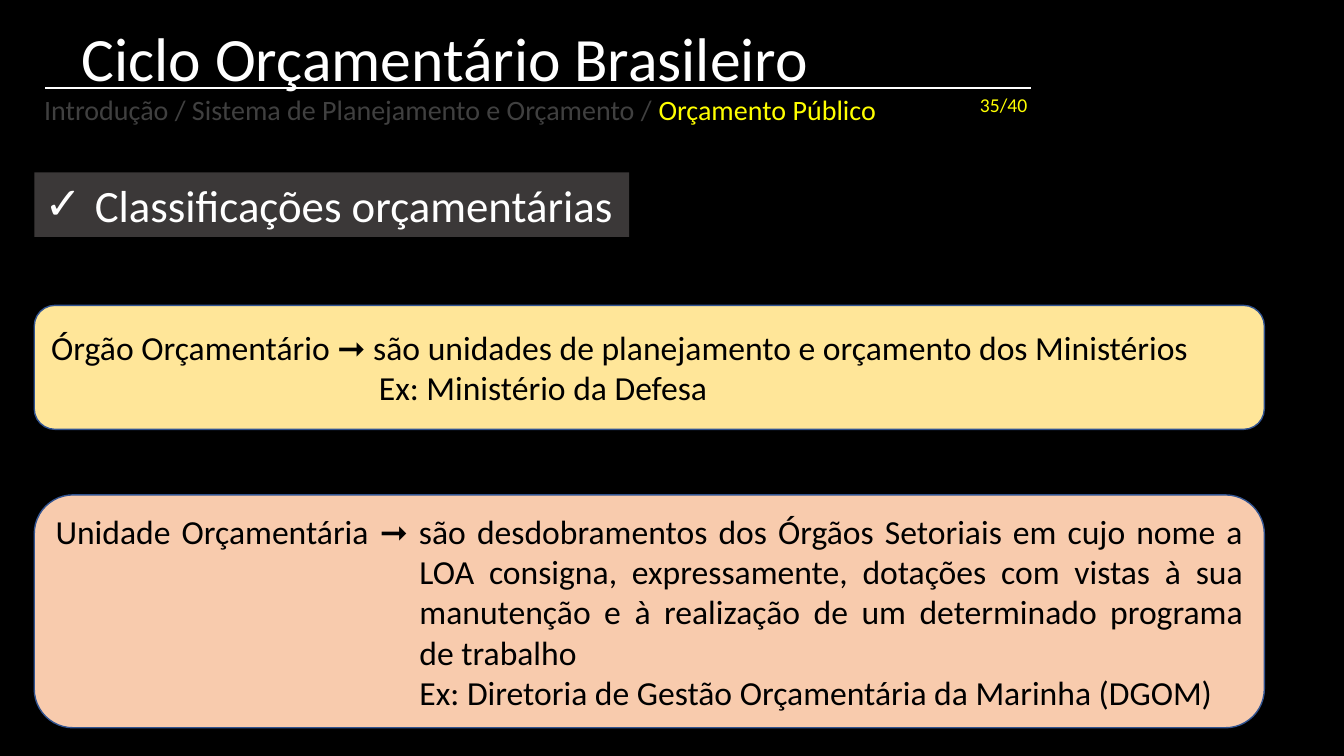
from lxml import etree
from pptx import Presentation
from pptx.dml.color import RGBColor
from pptx.enum.shapes import MSO_CONNECTOR, MSO_SHAPE
from pptx.enum.text import MSO_ANCHOR, MSO_AUTO_SIZE, PP_ALIGN
from pptx.oxml.ns import qn
from pptx.util import Inches, Pt

LINE = MSO_CONNECTOR.STRAIGHT
ROUND = MSO_SHAPE.ROUNDED_RECTANGLE
TOP, MIDDLE = MSO_ANCHOR.TOP, MSO_ANCHOR.MIDDLE
LEFT, JUSTIFY = PP_ALIGN.LEFT, PP_ALIGN.JUSTIFY
FIXED = MSO_AUTO_SIZE.NONE

COLORS = {
    "black": "000000", "white": "FFFFFF", "yellow": "FFFF00",
    "dim": "404040", "gray": "3B3838", "edge": "325491",
    "cream": "FFE699", "peach": "F8CBAD",
}


def color(name):
    return RGBColor.from_string(COLORS[name])


def paint(fill, name):
    fill.solid()
    fill.fore_color.rgb = color(name)


def place(shape, box):
    for key, value in zip(("left", "top", "width", "height"), box):
        setattr(shape, key, Inches(value))


def setup(frame, **values):
    for key, value in {"auto_size": FIXED, "word_wrap": True, **values}.items():
        setattr(frame, key, value)


def indent(para, margin, first, bullet=None):
    props = para._p.get_or_add_pPr()
    props.set("marL", str(Inches(margin)))
    props.set("indent", str(Inches(first)))
    if bullet:
        etree.SubElement(props, qn("a:buChar")).set("char", bullet)


def write(para, parts, size, align=LEFT):
    for key, value in {"alignment": align, "space_before": Pt(0)}.items():
        setattr(para, key, value)
    for text, name in parts:
        run = para.add_run()
        run.text = text
        for key, value in {"name": "Calibri", "size": Pt(size)}.items():
            setattr(run.font, key, value)
        run.font.color.rgb = color(name)


def add_title(slide, text):
    title = slide.shapes.title
    place(title, (0.71, 0.14, 9.15, 0.84))
    setup(title.text_frame, vertical_anchor=MIDDLE)
    write(title.text_frame.paragraphs[0], [(text, "white")], 44)


def add_topic(slide, text):
    topic = slide.placeholders[1]
    place(topic, (0.34, 1.71, 5.9, 0.64))
    paint(topic.fill, "gray")
    setup(topic.text_frame, vertical_anchor=TOP)
    para = topic.text_frame.paragraphs[0]
    indent(para, 0.5, -0.5, "✓")
    write(para, [(text, "white")], 32)


def add_label(slide, box, parts, size):
    label = slide.shapes.add_textbox(*map(Inches, box))
    setup(label.text_frame, word_wrap=False)
    write(label.text_frame.paragraphs[0], parts, size)


def add_rule(slide, left, right, top):
    rule = slide.shapes.add_connector(
        LINE, Inches(left), Inches(top), Inches(right), Inches(top))
    rule.line.color.rgb = color("white")
    rule.line.width = Pt(1.5)
    etree.SubElement(rule._element.spPr, qn("a:effectLst"))


def add_card(slide, top, height, fill, items):
    card = slide.shapes.add_shape(
        ROUND, *map(Inches, (0.34, top, 12.2, height)))
    card.shadow.inherit = False
    paint(card.fill, fill)
    card.line.color.rgb = color("edge")
    card.line.width = Pt(1)
    frame = card.text_frame
    setup(frame, vertical_anchor=MIDDLE)
    for index, (text, margin, first) in enumerate(items):
        para = frame.add_paragraph() if index else frame.paragraphs[0]
        indent(para, margin, first)
        write(para, [(text, "black")], 24, JUSTIFY)


def main():
    deck = Presentation()
    deck.slide_width, deck.slide_height = Inches(13.33), Inches(7.5)
    slide = deck.slides.add_slide(deck.slide_layouts[1])
    paint(slide.background.fill, "black")

    add_title(slide, "Ciclo Orçamentário Brasileiro")
    add_rule(slide, 0.45, 10.23, 0.87)
    add_topic(slide, "Classificações orçamentárias")
    add_card(slide, 3.03, 1.23, "cream", [
        ("Órgão Orçamentário ➞ são unidades de planejamento e orçamento "
         "dos Ministérios", 3.89, -3.88),
        ("Ex: Ministério da Defesa", 3.26, 0),
    ])
    add_card(slide, 4.91, 2.31, "peach", [
        ("Unidade Orçamentária ➞ são desdobramentos dos Órgãos Setoriais em "
         "cujo nome a LOA consigna, expressamente, dotações com vistas à sua "
         "manutenção e à realização de um determinado programa de trabalho",
         3.61, -3.61),
        ("Ex: Diretoria de Gestão Orçamentária da Marinha (DGOM)", 3.61, 0),
    ])
    add_label(slide, (9.62, 0.87, 0.68, 0.34), [("35/40", "yellow")], 14)
    add_label(slide, (0.34, 0.87, 8.53, 0.44), [
        ("Introdução / Sistema de Planejamento e Orçamento / ", "dim"),
        ("Orçamento Público", "yellow"),
    ], 20)
    deck.save("out.pptx")


if __name__ == "__main__":
    main()
